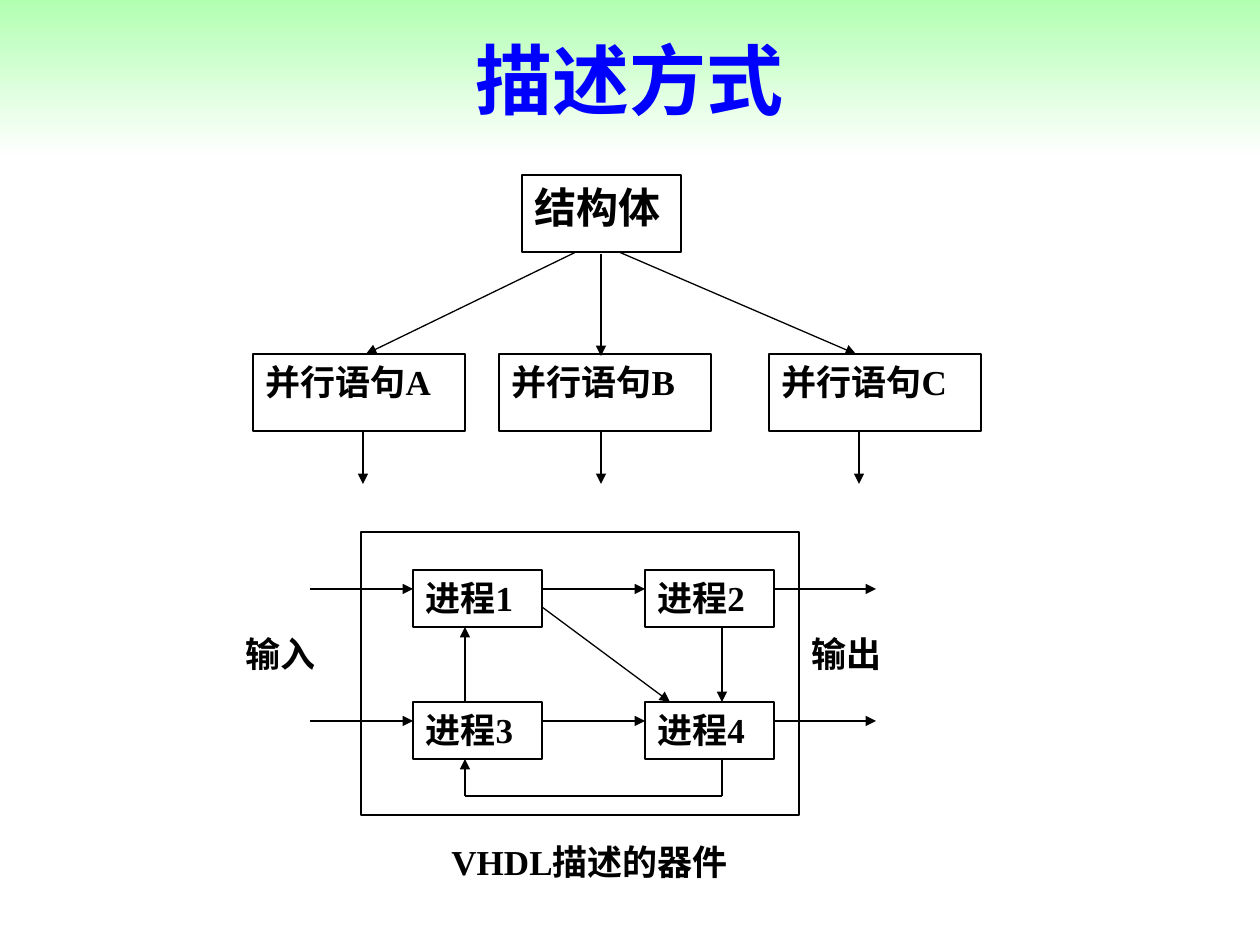
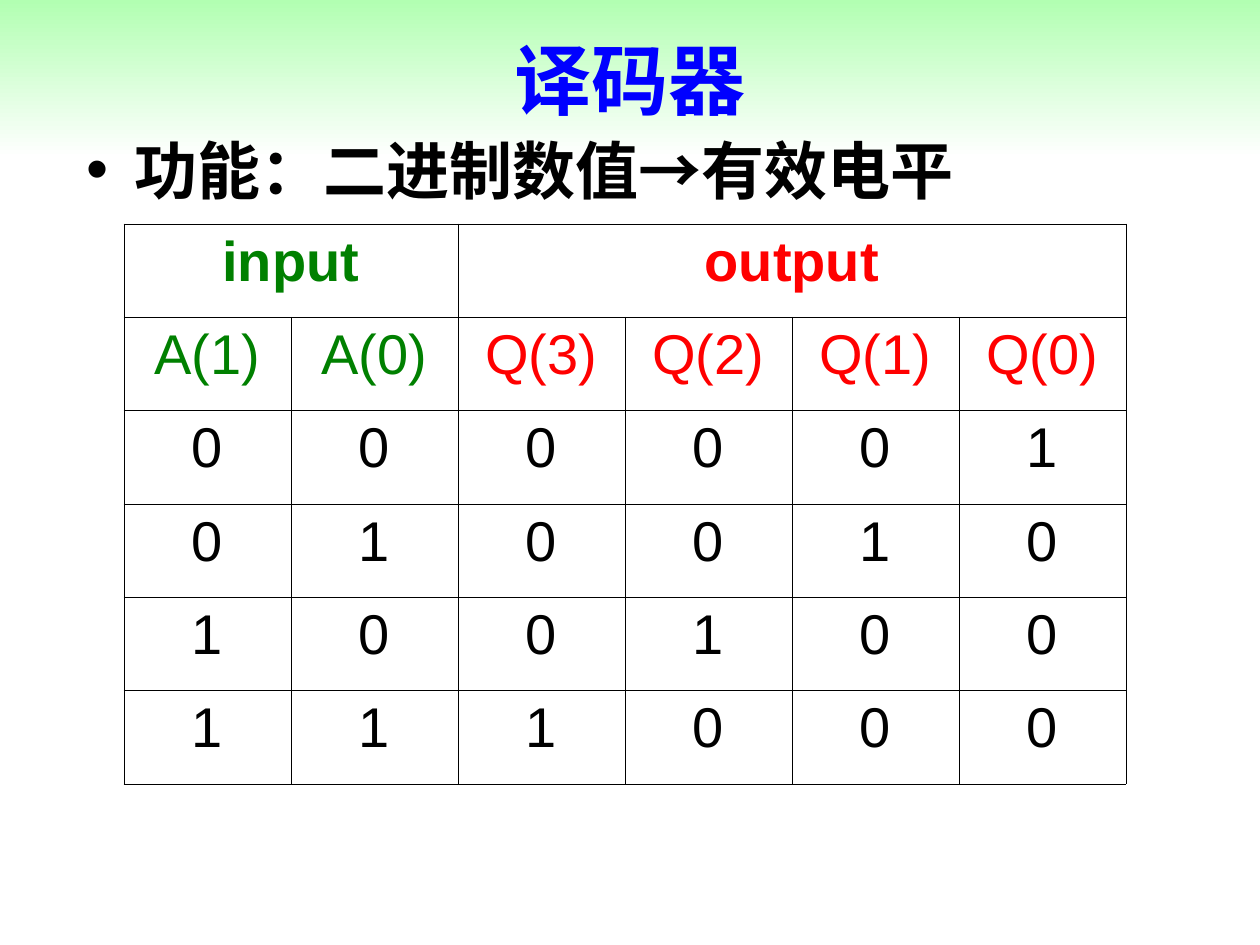
"""Build two slides on VHDL: description styles and the decoder truth table."""
from lxml import etree
from pptx import Presentation
from pptx.dml.color import RGBColor
from pptx.enum.shapes import MSO_CONNECTOR, MSO_SHAPE
from pptx.enum.text import MSO_ANCHOR, MSO_AUTO_SIZE, PP_ALIGN
from pptx.oxml.ns import qn
from pptx.util import Pt

LEFT, CENTER, JUSTIFY = PP_ALIGN.LEFT, PP_ALIGN.CENTER, PP_ALIGN.JUSTIFY
TOP, MIDDLE = MSO_ANCHOR.TOP, MSO_ANCHOR.MIDDLE
NO_FIT = MSO_AUTO_SIZE.NONE
RECT, STRAIGHT = MSO_SHAPE.RECTANGLE, MSO_CONNECTOR.STRAIGHT

PX_PER_INCH = 126
SLIDE_W, SLIDE_H, BAND_H = 1260, 945, 158
TITLE_ONLY = 5
COLORS = {"band": "B2FFB2", "white": "FFFFFF", "black": "000000",
          "title": "0000FF", "input": "008000", "output": "FF0000"}
TITLE = {"name": "Arial", "size": Pt(44), "bold": True, "color": "title"}
BULLET = {"name": "Arial", "size": Pt(36), "bold": True, "color": "black"}
ROOT = {"name": "Times New Roman", "size": Pt(24), "bold": True, "color": "black"}
LABEL = {**ROOT, "size": Pt(20)}
CELL = {"name": "Arial", "size": Pt(32), "bold": False, "color": "black"}


def px(n):
    """Turn pixels into EMU."""
    return round(n * 914400 / PX_PER_INCH)


def rgb(key):
    """Look up a palette colour."""
    return RGBColor.from_string(COLORS[key])


def write(tf, text, fmt, align):
    """Put one formatted paragraph into a text frame."""
    p = tf.paragraphs[0]
    p.alignment = align
    r = p.add_run()
    r.text = text
    for key, value in fmt.items():
        if key == "color":
            r.font.color.rgb = rgb(value)
        else:
            setattr(r.font, key, value)
    return p


def add_titled_slide(prs, text):
    """Add a slide whose title fills the gradient band."""
    s = prs.slides.add_slide(prs.slide_layouts[TITLE_ONLY])
    sp = s.shapes.title
    sp.left, sp.top, sp.width, sp.height = 0, 0, px(SLIDE_W), px(BAND_H)
    sp.fill.gradient()
    sp.fill.gradient_angle = 270
    for stop, key in zip(sp.fill.gradient_stops, ("band", "white")):
        stop.color.rgb = rgb(key)
    tf = sp.text_frame
    tf.auto_size, tf.vertical_anchor = NO_FIT, MIDDLE
    write(tf, text, TITLE, CENTER)
    return s


def add_box(s, x, y, w, h, text="", fmt=LABEL):
    """Add an outlined rectangle, white when it holds text."""
    sp = s.shapes.add_shape(RECT, px(x), px(y), px(w), px(h))
    sp.shadow.inherit = False
    sp.line.color.rgb = rgb("black")
    sp.line.width = Pt(0.75)
    if not text:
        sp.fill.background()
        return
    sp.fill.solid()
    sp.fill.fore_color.rgb = rgb("white")
    sp.text_frame.vertical_anchor = TOP
    write(sp.text_frame, text, fmt, JUSTIFY)


def add_label(s, x, y, w, h, text, fmt=LABEL, align=JUSTIFY):
    """Add a wrapped text box and return its paragraph."""
    tf = s.shapes.add_textbox(px(x), px(y), px(w), px(h)).text_frame
    tf.word_wrap = True
    return write(tf, text, fmt, align)


def add_line(s, x1, y1, x2, y2, arrow=True):
    """Add a thin straight line, with an arrowhead at its end by default."""
    sp = s.shapes.add_connector(STRAIGHT, px(x1), px(y1), px(x2), px(y2))
    sp.line.color.rgb = rgb("black")
    sp.line.width = Pt(0.75)
    if arrow:
        etree.SubElement(sp.line._get_or_add_ln(), qn("a:tailEnd"), type="triangle")
    etree.SubElement(sp._element.spPr, qn("a:effectLst"))


def add_bullet(p, indent):
    """Give a paragraph a round bullet and a hanging indent."""
    pPr = p._p.get_or_add_pPr()
    pPr.set("marL", str(px(indent)))
    pPr.set("indent", str(-px(indent)))
    etree.SubElement(pPr, qn("a:buFont"), typeface="Arial")
    etree.SubElement(pPr, qn("a:buChar"), char="•")


def add_borders(cell):
    """Draw thin black borders on all sides of a cell."""
    tcPr = cell._tc.get_or_add_tcPr()
    for i, side in enumerate(("lnL", "lnR", "lnT", "lnB")):
        ln = etree.Element(qn(f"a:{side}"), w=str(Pt(0.45)))
        fill = etree.SubElement(ln, qn("a:solidFill"))
        etree.SubElement(fill, qn("a:srgbClr"), val=COLORS["black"])
        tcPr.insert(i, ln)


def add_truth_table(s, x, y, w, h, rows, inputs):
    """Add a truth table with two heading rows and coloured signal names."""
    n_rows, n_cols = len(rows), len(rows[0])
    table = s.shapes.add_table(n_rows, n_cols, px(x), px(y), px(w), px(h)).table
    table.first_row = table.horz_banding = False
    for column in table.columns:
        column.width = px(w) // n_cols
    for row in table.rows:
        row.height = px(h) // n_rows
    table.cell(0, 0).merge(table.cell(0, inputs - 1))
    table.cell(0, inputs).merge(table.cell(0, n_cols - 1))
    for i, values in enumerate(rows):
        for j, value in enumerate(values):
            cell = table.cell(i, j)
            cell.fill.solid()
            cell.fill.fore_color.rgb = rgb("white")
            add_borders(cell)
            if value:
                signal = "input" if j < inputs else "output"
                color = signal if i < 2 else "black"
                write(cell.text_frame, value, {**CELL, "bold": i == 0, "color": color}, CENTER)


def add_statement_tree(s):
    """Draw the architecture and its three concurrent statements."""
    add_box(s, 522, 175, 159, 77, "结构体", ROOT)
    for x, name in zip((253, 499, 769), "ABC"):
        add_box(s, x, 354, 212, 77, f"并行语句{name}")
    for ends in ((576, 252, 366, 354), (601, 254, 601, 356), (619, 252, 856, 354)):
        add_line(s, *ends)
    for x in (363, 601, 859):
        add_line(s, x, 432, x, 484)


def add_process_diagram(s):
    """Draw the device with its four linked processes."""
    w, h = 129, 57
    columns, rows = (413, 645), (570, 702)
    (left, right), (upper, lower) = columns, rows
    for i, y in enumerate(rows):
        for j, x in enumerate(columns):
            add_box(s, x, y, w, h, f"进程{2 * i + j + 1}")
        for start, end in ((310, left), (left + w, right), (right + w, 876)):
            add_line(s, start, y + 19, end, y + 19)
    mid_left, mid_right, loop = 465, 722, 796
    add_line(s, mid_right, upper + h, mid_right, lower)
    add_line(s, left + w, 607, 670, lower)
    add_line(s, mid_left, lower, mid_left, upper + h)
    add_line(s, mid_left, loop, mid_left, lower + h)
    add_line(s, mid_left, loop, mid_right, loop, arrow=False)
    add_line(s, mid_right, loop, mid_right, lower + h, arrow=False)
    add_box(s, 361, 532, 438, 283)
    for x, y, width, text in ((233, 626, w, "输入"), (799, 626, w, "输出"),
                              (439, 834, 334, "VHDL描述的器件")):
        add_label(s, x, y, width, h, text)


def main():
    """Build and save the presentation."""
    prs = Presentation()
    prs.slide_width, prs.slide_height = px(SLIDE_W), px(SLIDE_H)

    s = add_titled_slide(prs, "描述方式")
    add_statement_tree(s)
    add_process_diagram(s)

    s = add_titled_slide(prs, "译码器")
    p = add_label(s, 74, 125, 1134, 90, "功能：二进制数值→有效电平", BULLET, LEFT)
    add_bullet(p, 48)
    rows = [["input", "", "output", "", "", ""],
            ["A(1)", "A(0)", "Q(3)", "Q(2)", "Q(1)", "Q(0)"]]
    for n in range(4):
        rows.append(list(f"{n:02b}{1 << n:04b}"))
    add_truth_table(s, 124, 224, 1002, 560, rows, inputs=2)

    prs.save("out.pptx")


if __name__ == "__main__":
    main()
